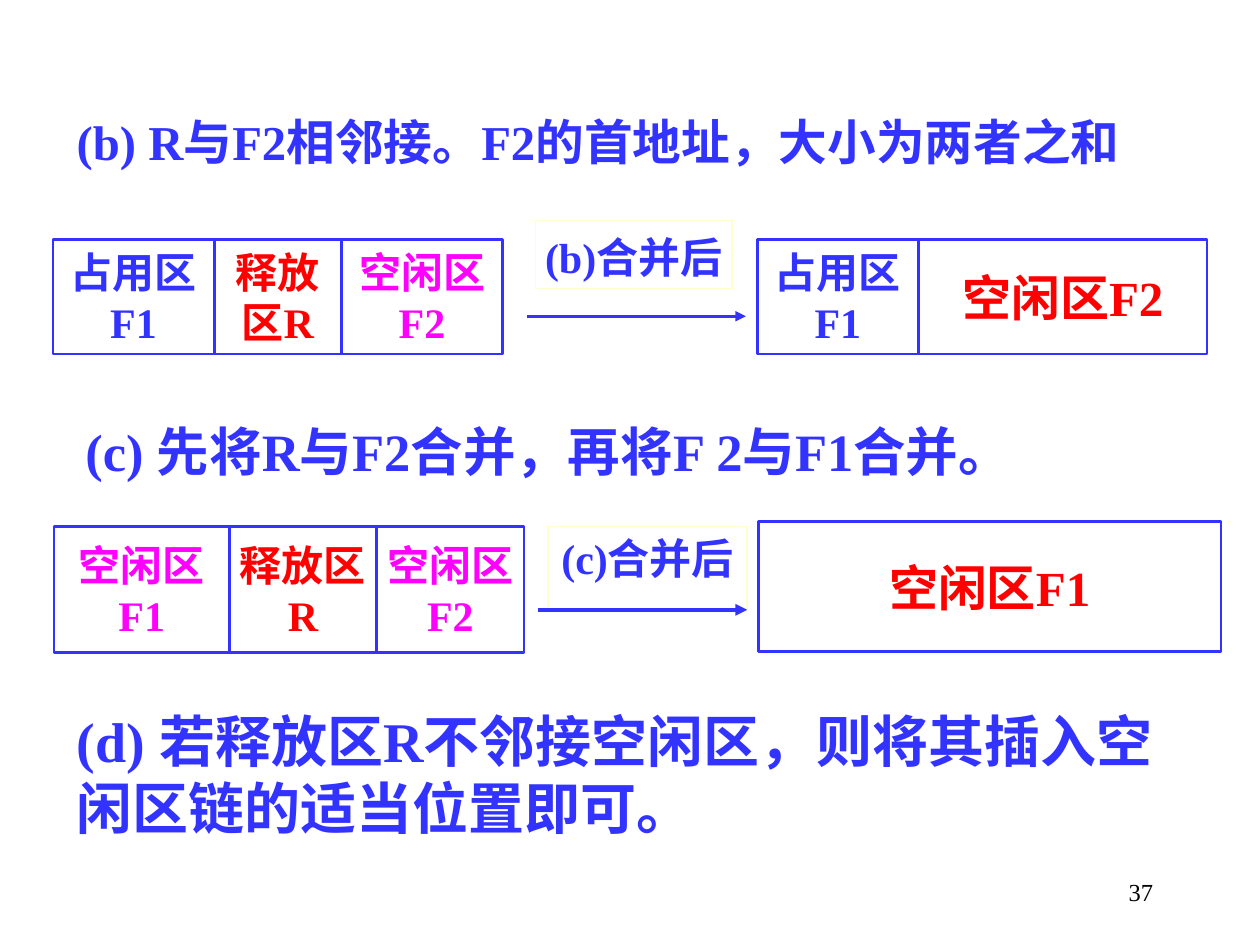
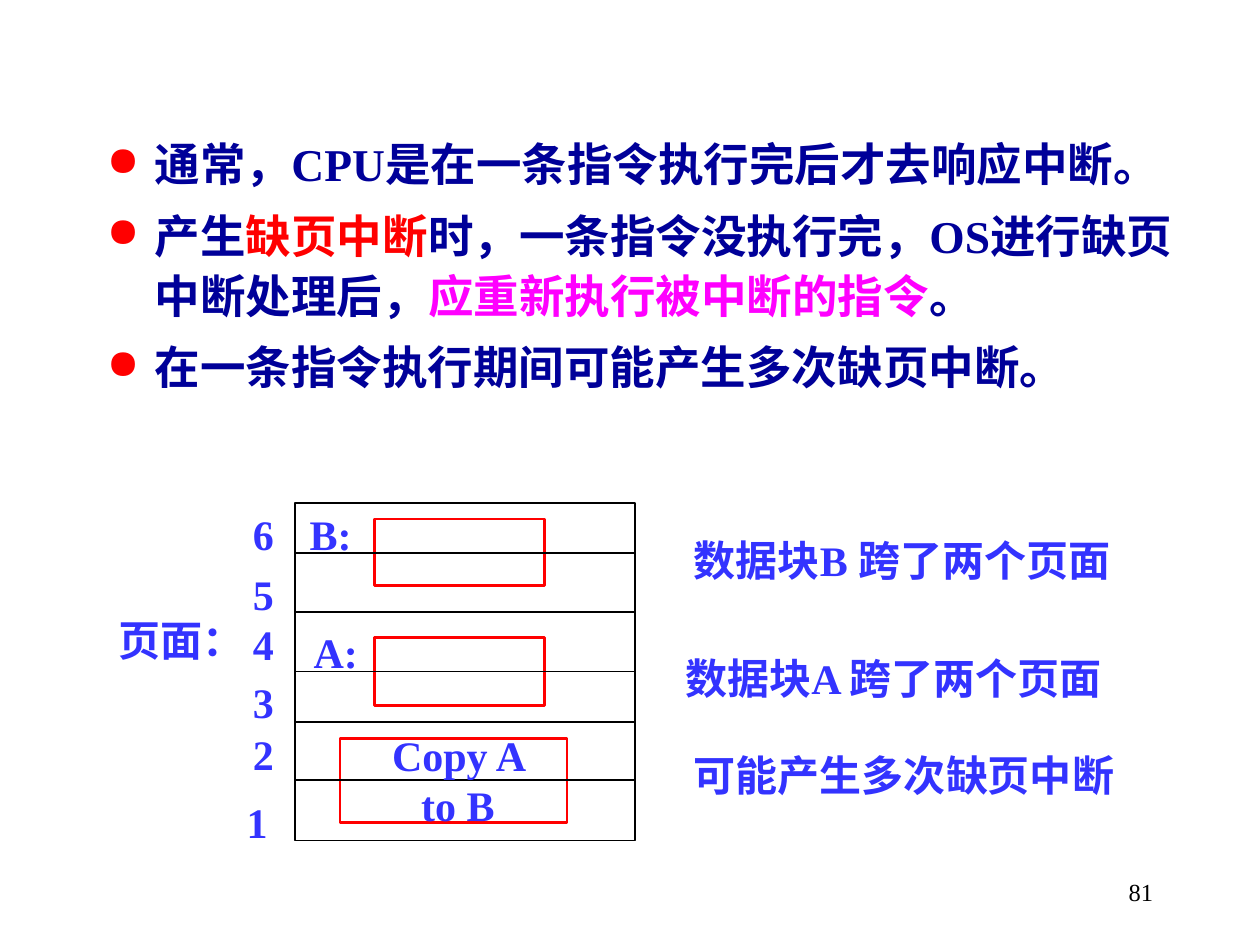
from pptx import Presentation
from pptx.dml.color import RGBColor
from pptx.enum.shapes import MSO_CONNECTOR, MSO_SHAPE
from pptx.enum.text import MSO_ANCHOR, PP_ALIGN
from pptx.oxml.ns import qn
from pptx.util import Inches, Pt
from lxml.etree import SubElement

FONT = "Times New Roman"
COLORS = {
    "blue": "3333FF", "navy": "000099", "red": "FF0000", "magenta": "FF00FF",
    "cream": "FFFFCC", "black": "000000", "white": "FFFFFF",
}

STATEMENTS = [
    ("(b) R与F2相邻接。F2的首地址，大小为两者之和", 0.51, 0.84, 9.21, 0.75, 27.8),
    ("(c) 先将R与F2合并，再将F 2与F1合并。", 0.58, 3.28, 8.83, 0.71, 30),
    ("(d) 若释放区R不邻接空闲区，则将其插入空闲区链的适当位置即可。", 0.51, 5.56, 9, 1.17, 32),
]
MEMORY_ROWS = [
    (0.42, 1.9, 0.91, [("占用区\nF1", 1.28, "blue", 24), ("释放\n区R", 1.01, "red", 24),
                       ("空闲区\nF2", 1.28, "magenta", 24)]),
    (6.01, 1.9, 0.91, [("占用区\nF1", 1.28, "blue", 24), ("空闲区F2", 2.29, "red", 28)]),
    (0.43, 4.18, 1, [("空闲区\nF1", 1.39, "magenta", 24), ("释放区\nR", 1.17, "red", 24),
                     ("空闲区\nF2", 1.17, "magenta", 24)]),
    (6.02, 4.14, 1.03, [("空闲区F1", 3.67, "red", 28)]),
]
MERGE_LABELS = [
    ("(b)合并后", 4.25, 1.75, 1.56, 0.54, MSO_ANCHOR.BOTTOM),
    ("(c)合并后", 4.35, 4.18, 1.58, 0.67, MSO_ANCHOR.TOP),
]
MERGE_ARROWS = [(4.18, 5.92, 2.51, 1.5), (4.27, 5.93, 4.84, 2.25)]

BULLETS = [
    [("通常，CPU是在一条指令执行完后才去响应中断。", "navy")],
    [("产生", "navy"), ("缺页中断", "red"),
     ("时，一条指令没执行完，OS进行缺页中断处理后，", "navy"),
     ("应重新执行被中断的指令", "magenta"), ("。", "navy")],
    [("在一条指令执行期间可能产生多次缺页中断。", "navy")],
]
FRAME = (2.34, 3.99, 2.7, 2.68)
PAGE_LINES = [4.39, 4.86, 5.33, 5.73, 6.19]
DATA_BLOCKS = [(2.7, 5.86, 1.8, 0.67), (2.97, 5.06, 1.35, 0.54), (2.97, 4.12, 1.35, 0.53)]
PAGE_NUMBERS = [("6", 1.91, 3.99), ("5", 1.91, 4.46), ("4", 1.91, 4.86),
                ("3", 1.91, 5.32), ("2", 1.91, 5.73), ("1", 1.86, 6.27)]
BLOCK_LABELS = [("页面：", 0.84, 4.83, 1.2), ("A:", 2.39, 4.92, 0.55), ("B:", 2.36, 3.99, 0.53)]
NOTES = [("数据块B 跨了两个页面", 5.41, 4.19, 3.67),
         ("数据块A 跨了两个页面", 5.34, 5.13, 3.68),
         ("可能产生多次缺页中断", 5.41, 5.9, 3.53)]


def rgb(name):
    return RGBColor.from_string(COLORS[name])


def style(r, size, color, bold=True):
    r.font.name = FONT
    r.font.size = Pt(size)
    r.font.bold = bold
    r.font.color.rgb = rgb(color)


def write(sp, text, size=24, color="blue", align=PP_ALIGN.CENTER,
          anchor=MSO_ANCHOR.TOP, wrap=False, bold=True):
    tf = sp.text_frame
    tf.word_wrap = wrap
    tf.vertical_anchor = anchor
    tf.text = text
    for p in tf.paragraphs:
        p.alignment = align
        for r in p.runs:
            style(r, size, color, bold)


def add_text(s, text, left, top, width, height=0.5, **look):
    sp = s.shapes.add_textbox(*map(Inches, (left, top, width, height)))
    write(sp, text, **look)


def add_box(s, left, top, width, height, line, weight=1.5, fill=None):
    sp = s.shapes.add_shape(MSO_SHAPE.RECTANGLE, *map(Inches, (left, top, width, height)))
    sp.shadow.inherit = False
    if fill:
        sp.fill.solid()
        sp.fill.fore_color.rgb = rgb(fill)
    else:
        sp.fill.background()
    sp.line.color.rgb = rgb(line)
    sp.line.width = Pt(weight)
    return sp


def add_line(s, x1, x2, y, color, weight, arrow=False):
    c = s.shapes.add_connector(MSO_CONNECTOR.STRAIGHT, *map(Inches, (x1, y, x2, y)))
    c.line.color.rgb = rgb(color)
    c.line.width = Pt(weight)
    if arrow:
        SubElement(c.line._get_or_add_ln(), qn("a:tailEnd"), type="triangle")
    SubElement(c._element.spPr, qn("a:effectLst"))
    return c


def add_slide(prs, number):
    s = prs.slides.add_slide(prs.slide_layouts[6])
    add_text(s, number, 7.17, 6.83, 2.08, size=14, color="black", bold=False,
             align=PP_ALIGN.RIGHT, anchor=MSO_ANCHOR.MIDDLE, wrap=True)
    return s


def add_bullets(s):
    tf = s.shapes.add_textbox(*map(Inches, (0.75, 0.99, 8.74, 2.91))).text_frame
    tf.word_wrap = True
    for i, parts in enumerate(BULLETS):
        p = tf.add_paragraph() if i else tf.paragraphs[0]
        pPr = p._p.get_or_add_pPr()
        pPr.set("marL", str(Inches(0.38)))
        pPr.set("indent", str(-Inches(0.38)))
        SubElement(SubElement(pPr, qn("a:buClr")), qn("a:srgbClr"), val=COLORS["red"])
        SubElement(pPr, qn("a:buSzPct"), val="90000")
        SubElement(pPr, qn("a:buChar"), char="●")
        p.line_spacing = 1.1
        if i:
            p.space_before = Pt(6.5)
        for text, color in parts:
            r = p.add_run()
            r.text = text
            style(r, 26, color)


def build_merging(prs):
    s = add_slide(prs, "37")
    for text, left, top, width, height, size in STATEMENTS:
        add_text(s, text, left, top, width, height, size=size, align=PP_ALIGN.LEFT, wrap=True)
    for left, top, height, cells in MEMORY_ROWS:
        for text, width, color, size in cells:
            sp = add_box(s, left, top, width, height, "blue")
            write(sp, text, size, color, anchor=MSO_ANCHOR.MIDDLE)
            left += width
    for text, left, top, width, height, anchor in MERGE_LABELS:
        sp = add_box(s, left, top, width, height, "cream", 0.75)
        write(sp, text, anchor=anchor)
    for x1, x2, y, weight in MERGE_ARROWS:
        add_line(s, x1, x2, y, "blue", weight, arrow=True)


def build_page_faults(prs):
    s = add_slide(prs, "81")
    add_bullets(s)
    left, top, width, height = FRAME
    frame = add_box(s, *FRAME, "black", 1, "white")
    for block in DATA_BLOCKS:
        add_box(s, *block, "red", fill="white")
    for y in PAGE_LINES:
        c = add_line(s, left, left + width, y, "black", 1)
        if abs(y - top - height / 2) < 0.01:
            c.begin_connect(frame, 1)
            c.end_connect(frame, 3)
    add_text(s, "Copy A to B", 2.87, 5.74, 1.53, 0.9, wrap=True)
    for text, x, y in PAGE_NUMBERS:
        add_text(s, text, x, y, 0.36)
    for label in BLOCK_LABELS:
        add_text(s, *label)
    for note in NOTES:
        add_text(s, *note, align=PP_ALIGN.LEFT)


def main():
    prs = Presentation()
    prs.slide_width, prs.slide_height = Inches(10), Inches(7.5)
    build_merging(prs)
    build_page_faults(prs)
    prs.save("out.pptx")


if __name__ == "__main__":
    main()
